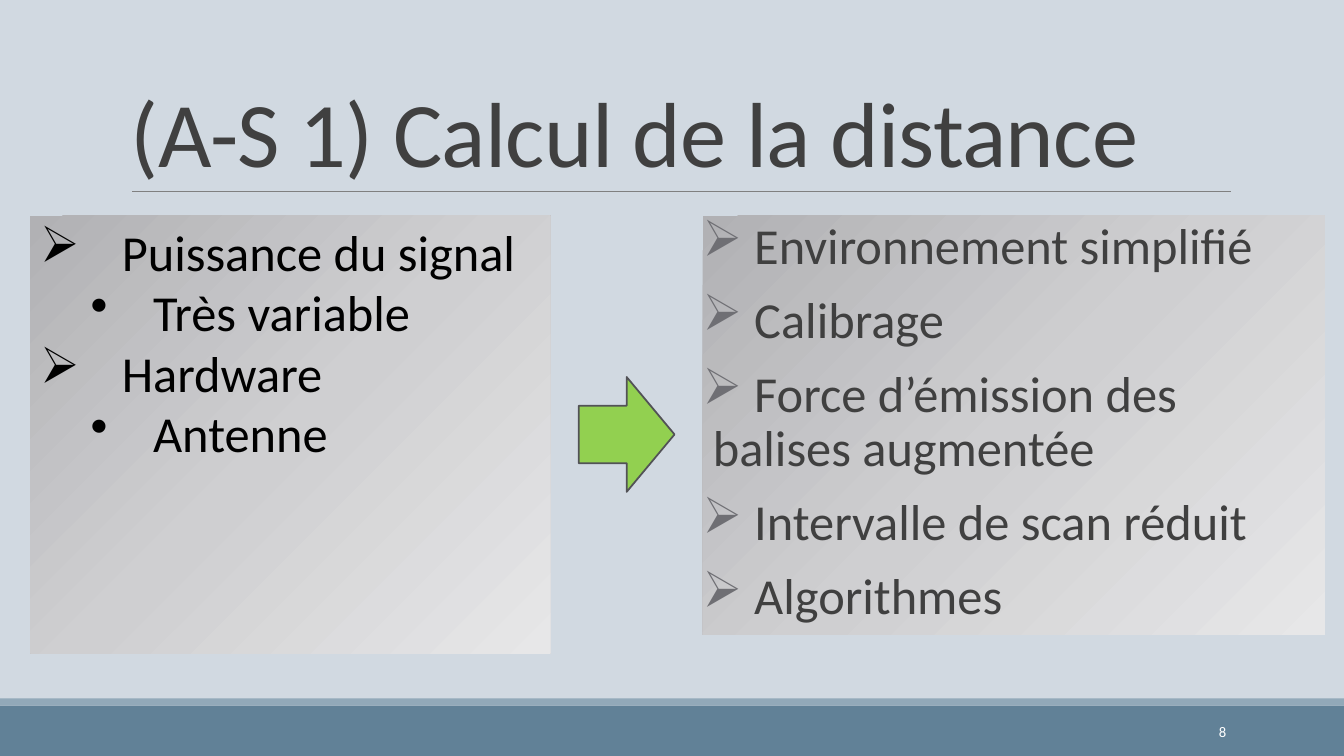
import pptx
import copy
import pptx.util
import pptx.dml.color
import pptx.enum.dml
import pptx.enum.shapes
import pptx.enum.text
import pptx.oxml.ns
import lxml.etree

Inches, Pt, qn = pptx.util.Inches, pptx.util.Pt, pptx.oxml.ns.qn
SHAPES = pptx.enum.shapes.MSO_SHAPE
ANCHOR = pptx.enum.text.MSO_ANCHOR
AUTO_SIZE = pptx.enum.text.MSO_AUTO_SIZE
GRADIENT = [(0, "B1B1B4"), (0.5, "CFCFD1"), (1, "E7E7E8")]
ARROWHEAD, DOT = "\u27a2", "\u2022"


def rgb(value):
    """Turn a hex string into a colour."""
    return pptx.dml.color.RGBColor.from_string(value)


def style(paragraph, size, color):
    """Set the slide's typeface, a size and a colour on a paragraph."""
    paragraph.font.name = "Calibri"
    paragraph.font.size = Pt(size)
    paragraph.font.color.rgb = rgb(color)


def add_block(slide, box, color, kind=SHAPES.RECTANGLE, outline=None):
    """Add a flat shape, with an outline only if a colour is given."""
    block = slide.shapes.add_shape(kind, *map(Inches, box))
    block.shadow.inherit = False
    block.fill.solid()
    block.fill.fore_color.rgb = rgb(color)
    if outline:
        block.line.color.rgb = rgb(outline)
        block.line.width = Pt(1.25)
    else:
        block.line.fill.background()
    return block


def add_label(slide, box, text, size, color, anchor):
    """Add a one-paragraph text box and return its paragraph."""
    frame = slide.shapes.add_textbox(*map(Inches, box)).text_frame
    frame.word_wrap = True
    frame.vertical_anchor = anchor
    paragraph = frame.paragraphs[0]
    paragraph.text = text
    style(paragraph, size, color)
    return paragraph


def shade(panel):
    """Fill a panel with the diagonal grey gradient."""
    panel.fill.gradient()
    panel.fill.gradient_angle = 315
    stop_list = panel._element.spPr.find(qn("a:gradFill")).find(qn("a:gsLst"))
    stop_list.append(copy.deepcopy(stop_list[-1]))
    for stop, (position, color) in zip(panel.fill.gradient_stops, GRADIENT):
        stop.position = position
        stop.color.rgb = rgb(color)


def add_bullet(paragraph, character, margin, hanging, color=None):
    """Give a paragraph a hanging bullet, in its own colour if given."""
    properties = paragraph._p.get_or_add_pPr()
    properties.set("marL", str(Inches(margin)))
    properties.set("indent", str(-Inches(hanging)))
    if color:
        bullet_color = lxml.etree.SubElement(properties, qn("a:buClr"))
        lxml.etree.SubElement(bullet_color, qn("a:srgbClr"), val=color)
    lxml.etree.SubElement(properties, qn("a:buChar"), char=character)


def fill_list(frame, items):
    """Write the items and yield each paragraph with its index."""
    frame.word_wrap = True
    frame.auto_size = AUTO_SIZE.SHAPE_TO_FIT_TEXT
    frame.vertical_anchor = ANCHOR.TOP
    for index, item in enumerate(items):
        paragraph = frame.add_paragraph() if index else frame.paragraphs[0]
        paragraph.text = item
        yield index, paragraph


def add_problems(slide, box, problems):
    """Add the left panel: (level, text) pairs."""
    panel = add_block(slide, box, GRADIENT[0][1])
    shade(panel)
    for index, paragraph in fill_list(panel.text_frame, [text for _, text in problems]):
        level = problems[index][0]
        paragraph.level = level
        paragraph.alignment = pptx.enum.text.PP_ALIGN.LEFT
        style(paragraph, 36, "000000")
        add_bullet(paragraph, *((DOT, 1.12, 0.62) if level else (ARROWHEAD, 0.81, 0.81)))


def add_solutions(slide, box, solutions):
    """Add the right panel: one spaced bullet for each solution."""
    panel = slide.shapes.add_textbox(*map(Inches, box))
    shade(panel)
    frame = panel.text_frame
    frame.margin_left = frame.margin_right = 0
    for _, paragraph in fill_list(frame, [" " + text for text in solutions]):
        paragraph.line_spacing = 0.9
        paragraph.space_before, paragraph.space_after = Pt(12), Pt(2)
        style(paragraph, 36, "404040")
        add_bullet(paragraph, ARROWHEAD, 0.1, 0.1, "6F6F74")


def add_heading(slide, box, text):
    """Add the title and the thin rule along its lower edge."""
    left, top, width, height = box
    bottom = top + height
    rule = slide.shapes.add_connector(
        pptx.enum.shapes.MSO_CONNECTOR.STRAIGHT,
        Inches(left + 0.11), Inches(bottom), Inches(left + width + 0.01), Inches(bottom))
    rule.line.color.rgb = rgb("808080")
    rule.line.width = Pt(0.5)
    lxml.etree.SubElement(rule._element.spPr, qn("a:effectLst"))
    title = add_label(slide, box, text, 66, "404040", ANCHOR.BOTTOM)
    title.line_spacing = 0.85
    title.runs[0]._r.get_or_add_rPr().set("spc", "-50")


def add_footer(slide, box, number):
    """Add the footer band, its lighter top strip and the slide number."""
    left, top, width, height = box
    add_block(slide, box, "618197")
    add_block(slide, (left, top - 0.07, width, 0.07), "92A9B9")
    page = add_label(slide, (left + 10.83, top + 0.06, 1.43, 0.4), number,
                     10.5, "FFFFFF", ANCHOR.MIDDLE)
    page.alignment = pptx.enum.text.PP_ALIGN.RIGHT


def main():
    """Build and save the slide."""
    deck = pptx.Presentation()
    deck.slide_width, deck.slide_height = Inches(13.33), Inches(7.5)
    slide = deck.slides.add_slide(deck.slide_layouts[6])
    slide.background.fill.solid()
    slide.background.fill.fore_color.rgb = rgb("D1D9E1")

    add_footer(slide, (0, 7, 13.33, 0.5), "8")
    add_heading(slide, (1.2, 0.31, 11, 1.59), "(A-S 1) Calcul de la distance")
    add_problems(slide, (0.3, 2.14, 5.16, 4.34), [
        (0, "Puissance du signal"), (1, "Très variable"),
        (0, "Hardware"), (1, "Antenne")])
    add_solutions(slide, (6.97, 2.14, 6.17, 4.16), [
        "Environnement simplifié", "Calibrage",
        "Force d’émission des balises augmentée",
        "Intervalle de scan réduit", "Algorithmes"])
    add_block(slide, (5.74, 3.74, 0.95, 1.14), "92D050", SHAPES.RIGHT_ARROW, "525256")
    deck.save("out.pptx")


main()
